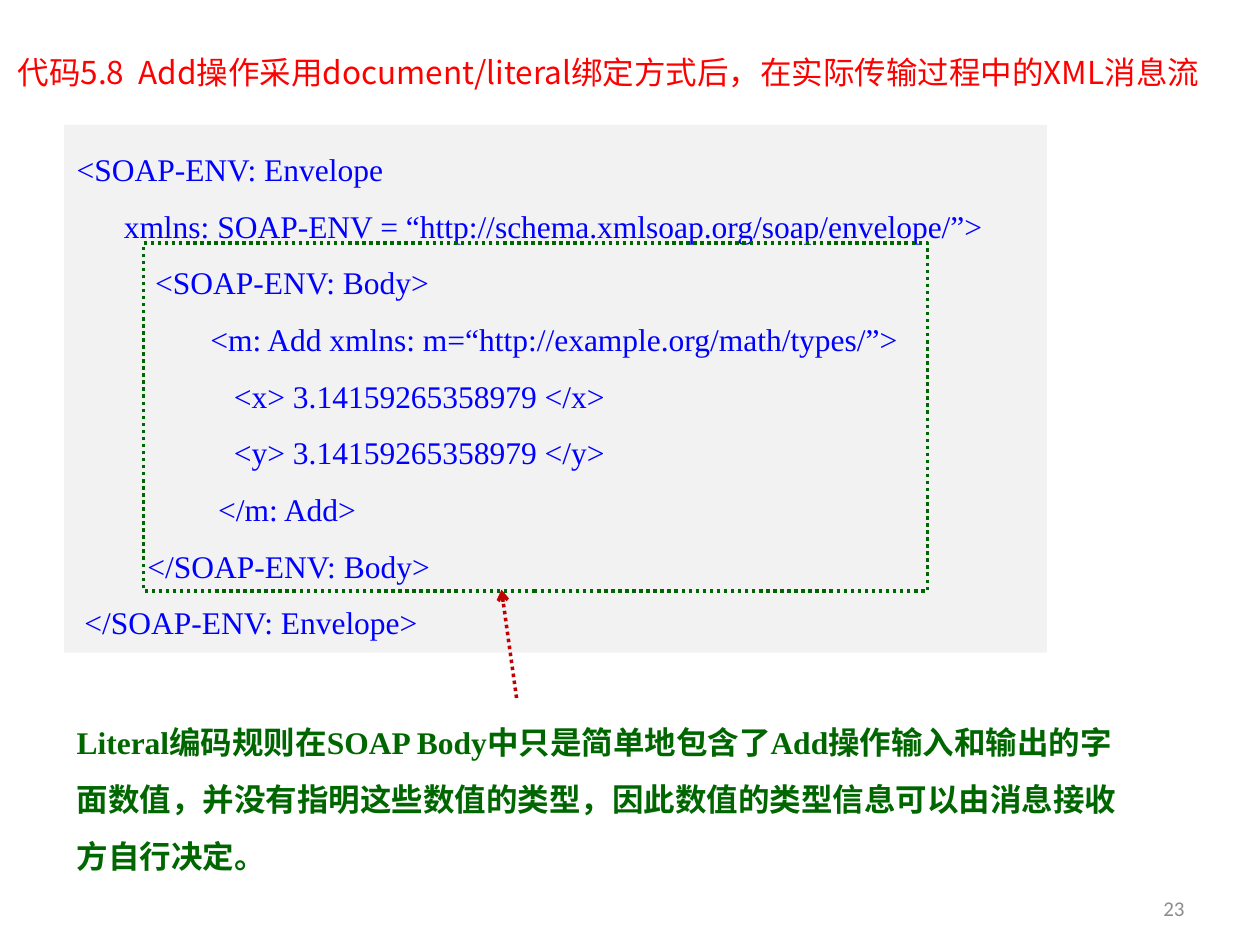
from dataclasses import dataclass

from lxml.etree import SubElement
from pptx import Presentation
from pptx.dml.color import RGBColor
from pptx.enum.dml import MSO_LINE
from pptx.enum.shapes import MSO_CONNECTOR, MSO_SHAPE
from pptx.enum.text import MSO_ANCHOR, MSO_AUTO_SIZE, PP_ALIGN
from pptx.oxml.ns import qn
from pptx.util import Inches, Pt


@dataclass(frozen=True)
class Theme:
    title: str = "FF0000"
    code: str = "0000FF"
    panel: str = "F2F2F2"
    note: str = "006600"
    arrow: str = "C00000"
    number: str = "8C8C8C"
    text_size: int = 18
    number_size: int = 12
    line_width: int = 2
    serif: str = "Times New Roman"
    chinese: str = "Noto Sans CJK SC"
    number_font: str = "Calibri"


theme = Theme()


def write_text(shape, text, *, color, font, size=theme.text_size, bold=False,
               align=PP_ALIGN.LEFT, anchor=MSO_ANCHOR.TOP, spacing=1.5,
               fit=MSO_AUTO_SIZE.SHAPE_TO_FIT_TEXT):
    frame = shape.text_frame
    frame.text = text
    frame.word_wrap = True
    frame.auto_size = fit
    frame.vertical_anchor = anchor
    for paragraph in frame.paragraphs:
        paragraph.alignment = align
        paragraph.line_spacing = spacing
        paragraph.space_before = Pt(0)
        for run in paragraph.runs:
            run.font.size = Pt(size)
            run.font.bold = bold
            run.font.color.rgb = RGBColor.from_string(color)
            run.font.name = font
            SubElement(run.font._element, qn("a:ea"), typeface=theme.chinese)


def style_dotted(line, color):
    line.color.rgb = RGBColor.from_string(color)
    line.width = Pt(theme.line_width)
    line.dash_style = MSO_LINE.ROUND_DOT


presentation = Presentation()
presentation.slide_width = Inches(10)
presentation.slide_height = Inches(7.5)
slide = presentation.slides.add_slide(presentation.slide_layouts[5])
shapes = slide.shapes

# Title
title = shapes.title
title.left, title.top = Inches(0.04), Inches(0.22)
title.width, title.height = Inches(9.76), Inches(0.5)
write_text(title, "代码5.8  Add操作采用document/literal绑定方式后，在实际传输过程中的XML消息流",
           color=theme.title, font=theme.chinese)

# Code listing
code_lines = [
    "<SOAP-ENV: Envelope",
    "      xmlns: SOAP-ENV = “http://schema.xmlsoap.org/soap/envelope/”>",
    "          <SOAP-ENV: Body>",
    "                 <m: Add xmlns: m=“http://example.org/math/types/”>",
    "                    <x> 3.14159265358979 </x>",
    "                    <y> 3.14159265358979 </y>",
    "                  </m: Add>",
    "         </SOAP-ENV: Body>",
    " </SOAP-ENV: Envelope>",
]
code_panel = shapes.add_shape(MSO_SHAPE.RECTANGLE, Inches(0.51), Inches(0.99),
                              Inches(7.8), Inches(4.19))
code_panel.shadow.inherit = False
code_panel.fill.solid()
code_panel.fill.fore_color.rgb = RGBColor.from_string(theme.panel)
code_panel.line.fill.background()
write_text(code_panel, "\n".join(code_lines), color=theme.code, font=theme.serif)

# Arrow from the explanation to the frame around the message body
arrow = shapes.add_connector(MSO_CONNECTOR.STRAIGHT, Inches(4.1), Inches(5.54),
                             Inches(3.98), Inches(4.68))
style_dotted(arrow.line, theme.arrow)
SubElement(arrow.line._get_or_add_ln(), qn("a:tailEnd"), type="arrow")
SubElement(arrow._element.spPr, qn("a:effectLst"))

body_frame = shapes.add_shape(MSO_SHAPE.RECTANGLE, Inches(1.14), Inches(1.93),
                              Inches(6.22), Inches(2.76))
body_frame.shadow.inherit = False
body_frame.fill.background()
style_dotted(body_frame.line, theme.note)

# Explanation
explanation = shapes.add_textbox(Inches(0.51), Inches(5.54), Inches(8.45), Inches(1.41))
write_text(explanation,
           "Literal编码规则在SOAP Body中只是简单地包含了Add操作输入和输出的字面数值，"
           "并没有指明这些数值的类型，因此数值的类型信息可以由消息接收方自行决定。",
           color=theme.note, font=theme.serif, bold=True)

# Slide number
slide_number = shapes.add_textbox(Inches(7.17), Inches(7.06), Inches(2.33), Inches(0.29))
write_text(slide_number, "23", color=theme.number, font=theme.number_font,
           size=theme.number_size, align=PP_ALIGN.RIGHT, anchor=MSO_ANCHOR.MIDDLE,
           spacing=1.0, fit=MSO_AUTO_SIZE.NONE)

presentation.save("out.pptx")
